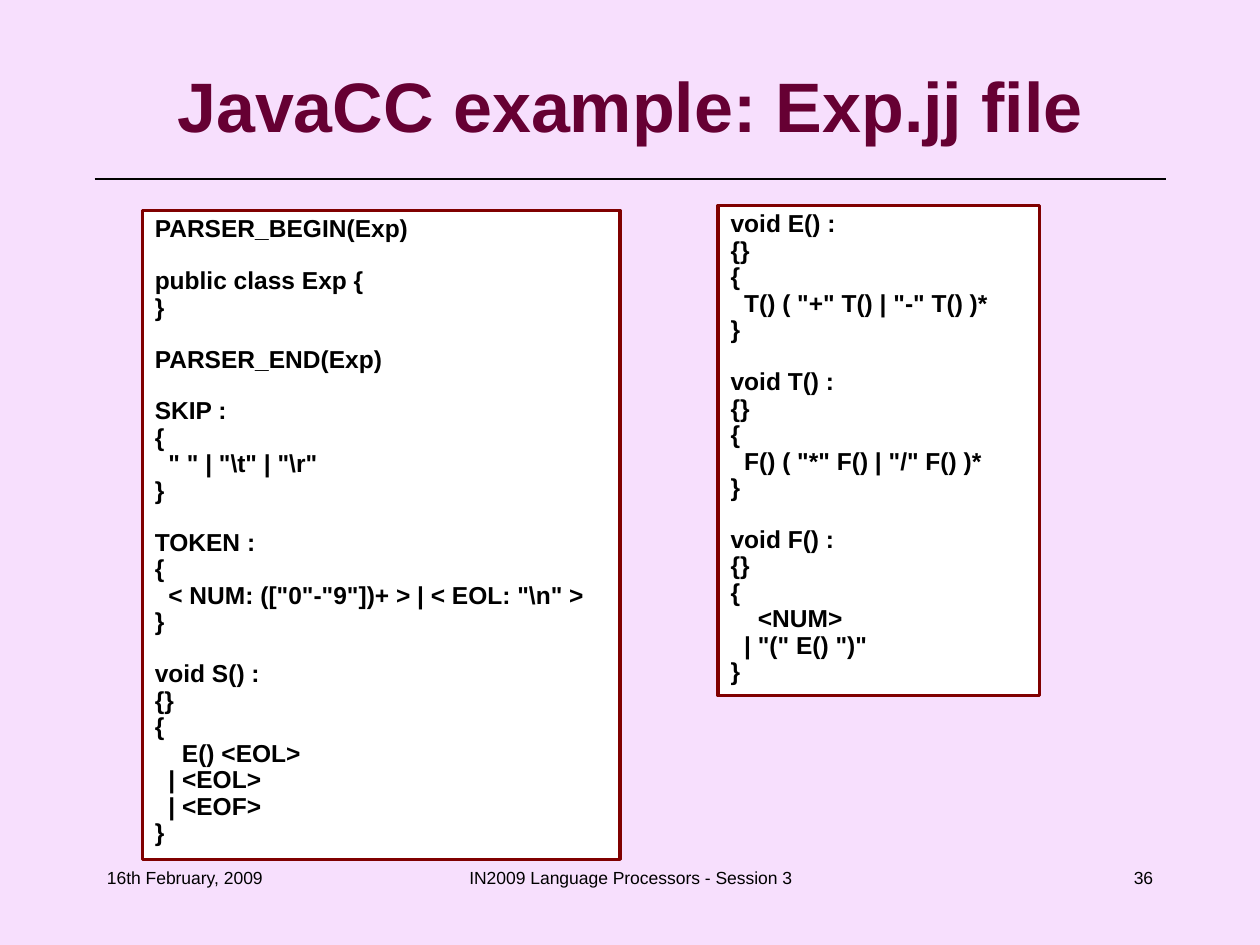
from pptx import Presentation
from pptx.dml.color import RGBColor
from pptx.enum.shapes import MSO_CONNECTOR, MSO_SHAPE
from pptx.enum.text import MSO_ANCHOR, MSO_AUTO_SIZE, PP_ALIGN
from pptx.oxml.ns import qn
from pptx.util import Inches, Pt
from lxml import etree

LILAC = RGBColor(0xF7, 0xDF, 0xFD)
PLUM = RGBColor(0x66, 0x00, 0x33)
MAROON = RGBColor(0x80, 0x00, 0x00)
WHITE = RGBColor(0xFF, 0xFF, 0xFF)
BLACK = RGBColor(0x00, 0x00, 0x00)

TITLE_FONT = {"name": "Arial", "size": Pt(40), "bold": True}
CODE_FONT = {"name": "Arial", "size": Pt(14), "bold": True}
FOOTER_FONT = {"name": "Arial", "size": Pt(10), "bold": False}
CODE_GAP = Pt(14.5)  # one line of code at 0.9 spacing

LEXER_CODE = r'''PARSER_BEGIN(Exp)

public class Exp {
}

PARSER_END(Exp)

SKIP :
{
  " " | "\t" | "\r"
}

TOKEN :
{
  < NUM: (["0"-"9"])+ > | < EOL: "\n" >
}

void S() :
{}
{
    E() <EOL>
  | <EOL>
  | <EOF>
}'''

GRAMMAR_CODE = r'''void E() :
{}
{
  T() ( "+" T() | "-" T() )*
}

void T() :
{}
{
  F() ( "*" F() | "/" F() )*
}

void F() :
{}
{
    <NUM>
  | "(" E() ")"
}'''


def write(para, text, font_values, color, align=PP_ALIGN.LEFT):
    para.alignment = align
    span = para.add_run()
    span.text = text
    for name, value in font_values.items():
        setattr(span.font, name, value)
    span.font.color.rgb = color


deck = Presentation()
deck.slide_width, deck.slide_height = Inches(10), Inches(7.5)
page = deck.slides.add_slide(deck.slide_layouts[5])
page.background.fill.solid()
page.background.fill.fore_color.rgb = LILAC

# Title and the rule below it
title = page.shapes.title
title.left, title.top = Inches(0.5), Inches(0.33)
title.width, title.height = Inches(9), Inches(1)
title.text_frame.vertical_anchor = MSO_ANCHOR.MIDDLE
write(title.text_frame.paragraphs[0], "JavaCC example: Exp.jj file",
      TITLE_FONT, PLUM, PP_ALIGN.CENTER)

rule = page.shapes.add_connector(MSO_CONNECTOR.STRAIGHT, Inches(0.75), Inches(1.42),
                                 Inches(9.25), Inches(1.42))
rule.line.color.rgb = BLACK
rule.line.width = Pt(0.75)
etree.SubElement(rule._element.spPr, qn("a:effectLst"))

# Code panels: a blank line in the code becomes space before the next block
for left, top, width, height, code in [
    (1.13, 1.67, 3.79, 5.15, LEXER_CODE),
    (5.7, 1.63, 2.55, 3.89, GRAMMAR_CODE),
]:
    panel = page.shapes.add_shape(MSO_SHAPE.RECTANGLE, Inches(left), Inches(top),
                                  Inches(width), Inches(height))
    panel.shadow.inherit = False
    panel.fill.solid()
    panel.fill.fore_color.rgb = WHITE
    panel.line.color.rgb = MAROON
    panel.line.width = Pt(2)
    frame = panel.text_frame
    frame.word_wrap = True
    frame.vertical_anchor = MSO_ANCHOR.TOP
    frame.auto_size = MSO_AUTO_SIZE.SHAPE_TO_FIT_TEXT
    para = frame.paragraphs[0]
    for block_index, block in enumerate(code.split("\n\n")):
        for line_index, line in enumerate(block.split("\n")):
            if block_index or line_index:
                para = frame.add_paragraph()
            if block_index and line_index == 0:
                para.space_before = CODE_GAP
            para.line_spacing = 0.9
            write(para, line, CODE_FONT, BLACK)

# Footer
for left, width, text, align in [
    (0.75, 2.08, "16th February, 2009", PP_ALIGN.LEFT),
    (3.42, 3.17, "IN2009 Language Processors - Session 3", PP_ALIGN.CENTER),
    (7.17, 2.08, "36", PP_ALIGN.RIGHT),
]:
    box = page.shapes.add_textbox(Inches(left), Inches(6.83), Inches(width), Inches(0.5))
    box.text_frame.word_wrap = True
    write(box.text_frame.paragraphs[0], text, FOOTER_FONT, BLACK, align)

deck.save("out.pptx")
